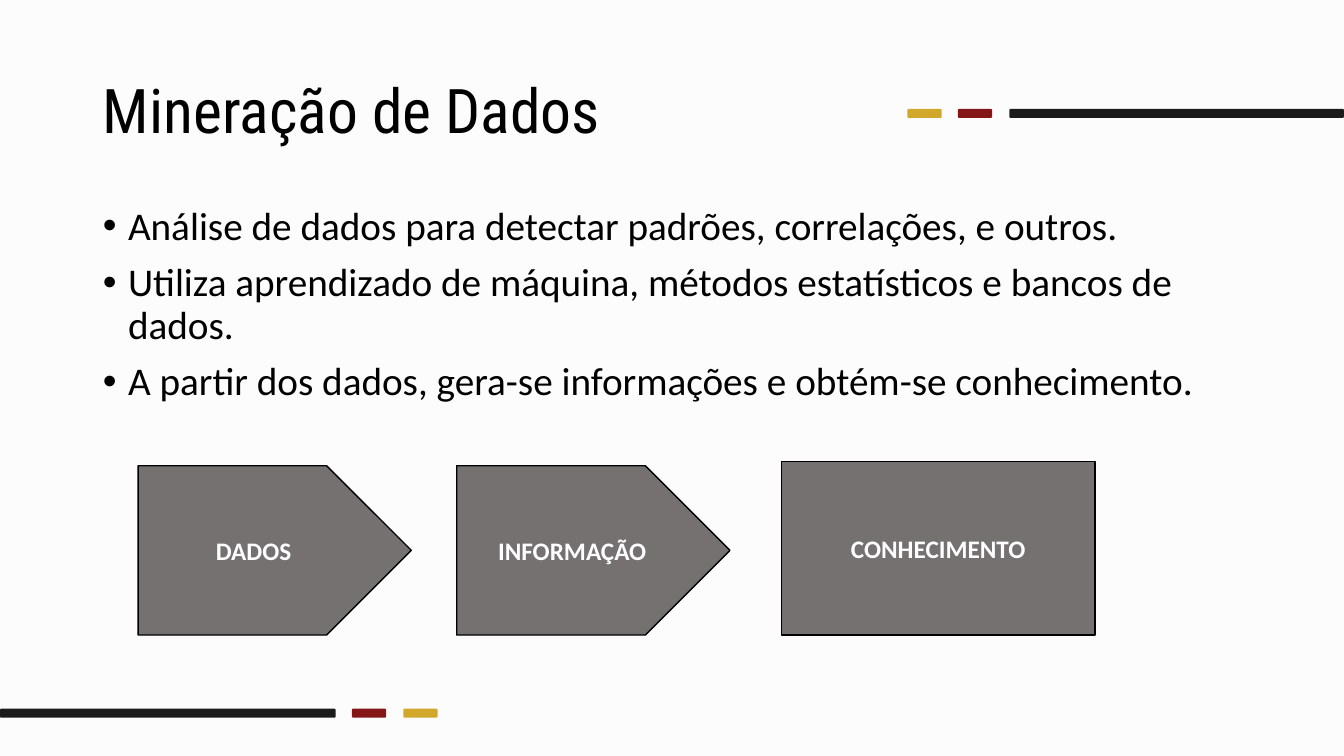
from pptx import Presentation
from pptx.dml.color import RGBColor
from pptx.enum import shapes, text
from pptx.util import Inches, Pt

BLACK, GREY, WHITE = "000000", "767171", "FFFFFF"
GOLD, RED, CHARCOAL = "D1A72C", "851618", "1B1B1B"


def paint(color_format, hex_color):
    """Set a solid fill's or a font's colour from a hex string."""
    color_format.rgb = RGBColor.from_string(hex_color)


def add_block(preset, left, top, width, height, fill):
    block = slide.shapes.add_shape(
        preset, Inches(left), Inches(top), Inches(width), Inches(height))
    block.shadow.inherit = False
    block.fill.solid()
    paint(block.fill.fore_color, fill)
    block.line.fill.background()
    return block


prs = Presentation()
prs.slide_width, prs.slide_height = Inches(13.33), Inches(7.5)
slide = prs.slides.add_slide(prs.slide_layouts[1])
slide.background.fill.solid()
paint(slide.background.fill.fore_color, "FCFCFC")

# Accent bars: top right and bottom left
for left, top, width, color in [
    (9, 1.08, 0.34, GOLD), (9.5, 1.08, 0.34, RED), (10.01, 1.08, 3.32, CHARCOAL),
    (0, 7.03, 3.33, CHARCOAL), (3.49, 7.03, 0.34, RED), (4, 7.03, 0.34, GOLD),
]:
    add_block(shapes.MSO_SHAPE.ROUNDED_RECTANGLE, left, top, width, 0.09, color)

# Title and bullets
title, bullets = slide.placeholders
title.left, title.top = Inches(0.92), Inches(0.4)
title.width, title.height = Inches(8.08), Inches(1.45)
title.text_frame.text = "Mineração de Dados"
bullets.left, bullets.top = Inches(0.92), Inches(2)
bullets.width, bullets.height = Inches(11.5), Inches(4.76)
bullets.text_frame.text = "\n".join([
    "Análise de dados para detectar padrões, correlações, e outros.",
    "Utiliza aprendizado de máquina, métodos estatísticos e bancos de dados.",
    "A partir dos dados, gera-se informações e obtém-se conhecimento.",
])
for placeholder, font_name, size, space_before in [
    (title, "Roboto Condensed", 44, 0), (bullets, "Calibri", 28, 10),
]:
    frame = placeholder.text_frame
    frame.auto_size = text.MSO_AUTO_SIZE.NONE
    for paragraph in frame.paragraphs:
        paragraph.alignment = text.PP_ALIGN.LEFT
        paragraph.line_spacing = 0.9
        paragraph.space_before = Pt(space_before)
        paragraph.font.name, paragraph.font.size = font_name, Pt(size)
        paint(paragraph.font.color, BLACK)
title.text_frame.vertical_anchor = text.MSO_ANCHOR.MIDDLE
for bullet in bullets.text_frame.paragraphs:
    properties = bullet._p.get_or_add_pPr()
    properties.set("marL", str(Inches(0.25)))
    properties.set("indent", str(Inches(-0.25)))

# From data to knowledge
PENTAGON, RECTANGLE = shapes.MSO_SHAPE.PENTAGON, shapes.MSO_SHAPE.RECTANGLE
for label, preset, left, top, width, height in [
    ("DADOS", PENTAGON, 1.37, 4.62, 2.71, 1.68),
    ("INFORMAÇÃO", PENTAGON, 4.53, 4.62, 2.71, 1.68),
    ("CONHECIMENTO", RECTANGLE, 7.75, 4.58, 3.11, 1.72),
]:
    stage = add_block(preset, left, top, width, height, GREY)
    stage.line.width = Pt(1)
    stage.line.fill.solid()
    paint(stage.line.fill.fore_color, BLACK)
    stage.text_frame.text = label
    stage.text_frame.vertical_anchor = text.MSO_ANCHOR.MIDDLE
    caption = stage.text_frame.paragraphs[0]
    caption.alignment = text.PP_ALIGN.CENTER
    caption.font.name, caption.font.size, caption.font.bold = "Calibri", Pt(18), True
    paint(caption.font.color, WHITE)

prs.save("out.pptx")
